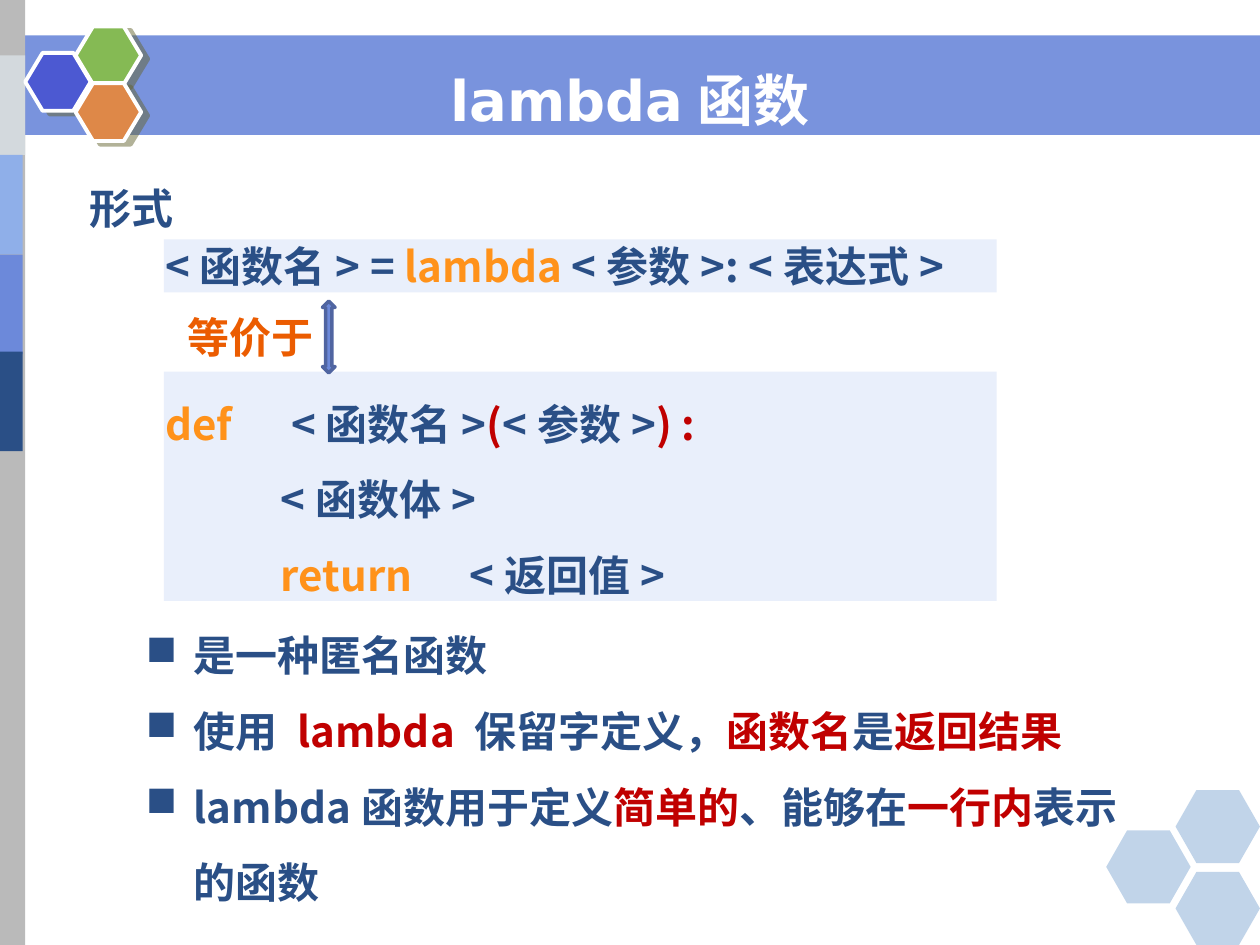
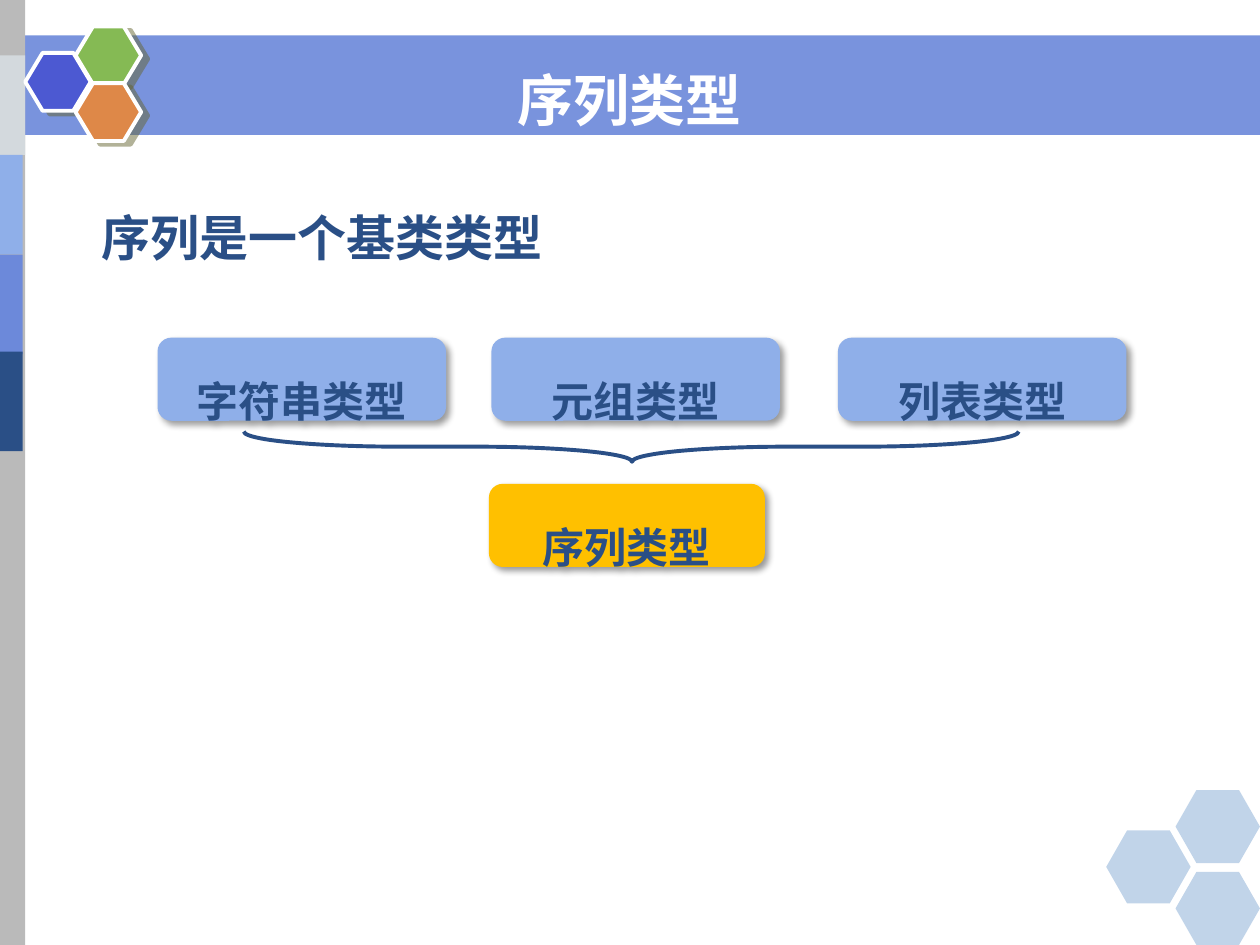
from lxml import etree
from pptx import Presentation
from pptx import util as u
from pptx.dml.color import RGBColor
from pptx.enum import shapes, text
from pptx.oxml.ns import qn

COLORS = {
    "navy": "2A4F86", "blue": "6C89DA", "sky": "8FAFE9", "pale": "E9EFFB",
    "grey": "BABABA", "silver": "D3D9DD", "white": "FFFFFF", "edge": "5065A1",
    "indigo": "4C59D2", "green": "85BA54", "copper": "DE8848", "mist": "5086C2",
    "red": "C00000", "orange": "FF921A", "rust": "EB5C01", "gold": "FFC000",
    "olive": "666633", "black": "000000",
}
BODY_FONT = "Noto Sans CJK SC"
TITLE_FONT = "DejaVu Sans"
CARD_SHADOW = ("black", 40, 4, 3, 45)
HEXAGON_SHADOW = ("olive", 50, 0, 4.5, 27)
KIND = shapes.MSO_SHAPE
CENTER = text.PP_ALIGN.CENTER
MIDDLE = text.MSO_ANCHOR.MIDDLE


def rgb(name):
    return RGBColor.from_string(COLORS[name])


def add_child(parent, tag, **attributes):
    child = etree.SubElement(parent, qn(tag))
    for key, value in attributes.items():
        child.set(key, str(value))
    return child


def add_alpha(color_element, percent):
    add_child(color_element, "a:alpha", val=percent * 1000)


def add_shadow(shape, color, percent, blur, distance, angle):
    effects = shape._element.spPr.find(qn("a:effectLst"))
    outer = add_child(effects, "a:outerShdw", blurRad=u.Pt(blur), dist=u.Pt(distance),
                      dir=angle * 60000, algn="tl", rotWithShape=0)
    add_alpha(add_child(outer, "a:srgbClr", val=COLORS[color]), percent)


def write(frame, paragraphs, size=24, font=BODY_FONT, color="navy", align=None,
          spacing=None, before=0, margin=0, hanging=0, bullet=None,
          insets=(0.1, 0.05, 0.1, 0.05), anchor=text.MSO_ANCHOR.TOP, grow=False):
    """Fill a frame; each paragraph is a dict of runs (text or (text, color)), margin and tab."""
    frame.word_wrap = True
    frame.vertical_anchor = anchor
    frame.auto_size = (text.MSO_AUTO_SIZE.SHAPE_TO_FIT_TEXT if grow
                       else text.MSO_AUTO_SIZE.NONE)
    (frame.margin_left, frame.margin_top,
     frame.margin_right, frame.margin_bottom) = map(u.Inches, insets)
    for index, content in enumerate(paragraphs):
        para = frame.add_paragraph() if index else frame.paragraphs[0]
        properties = para._p.get_or_add_pPr()
        properties.set("marL", str(u.Inches(content.get("margin", margin))))
        properties.set("indent", str(u.Inches(-hanging)))
        if bullet:
            add_child(properties, "a:buChar", char=bullet)
        if "tab" in content:
            tabs = add_child(properties, "a:tabLst")
            add_child(tabs, "a:tab", pos=u.Inches(content["tab"]), algn="l")
        para.alignment = align or text.PP_ALIGN.LEFT
        if spacing:
            para.line_spacing = spacing
        if index and before:
            para.space_before = u.Pt(before)
        for run in content["runs"]:
            words, run_color = (run, color) if isinstance(run, str) else run
            span = para.add_run()
            span.text = words
            span.font.size = u.Pt(size)
            span.font.bold = True
            span.font.name = font
            span.font.color.rgb = rgb(run_color)
            add_child(span._r.get_or_add_rPr(), "a:ea", typeface=BODY_FONT)


def line(*runs, **layout):
    return {"runs": runs, **layout}


class Painter:
    """Holds the deck and the slide being drawn."""

    def __init__(self):
        self.deck = Presentation()
        self.deck.slide_width = u.Inches(10)
        self.deck.slide_height = u.Inches(7.5)
        self.slide = None

    def shape(self, kind, place, fill=None, alpha=None, outline=None, weight=2.25,
              adjust=(), shadow=None):
        shape = self.slide.shapes.add_shape(kind, *map(u.Inches, place))
        shape.shadow.inherit = False
        for index, value in enumerate(adjust):
            shape.adjustments[index] = value
        if fill:
            shape.fill.solid()
            shape.fill.fore_color.rgb = rgb(fill)
            if alpha:
                add_alpha(shape._element.spPr.find(".//" + qn("a:srgbClr")), alpha)
        else:
            shape.fill.background()
        if outline:
            shape.line.color.rgb = rgb(outline)
            shape.line.width = u.Pt(weight)
        else:
            shape.line.fill.background()
        if shadow:
            add_shadow(shape, *shadow)
        return shape

    def label(self, place, *paragraphs, **style):
        box = self.slide.shapes.add_textbox(*map(u.Inches, place))
        write(box.text_frame, paragraphs, **style)

    def panel(self, place, *paragraphs, **style):
        panel = self.shape(KIND.RECTANGLE, place, "pale")
        write(panel.text_frame, paragraphs, grow=True, **style)

    def card(self, left, top, width, caption, fill):
        card = self.shape(KIND.ROUNDED_RECTANGLE, (left, top, width, 0.66), fill,
                          shadow=CARD_SHADOW)
        write(card.text_frame, [line(caption)], align=CENTER, spacing=1.5,
              insets=(0.1, 0.07, 0.1, 0))

    def new_slide(self, title):
        self.slide = self.deck.slides.add_slide(self.deck.slide_layouts[6])
        self.shape(KIND.RECTANGLE, (0, 0.28, 10, 0.79), "blue", alpha=91)
        self.shape(KIND.RECTANGLE, (0, 0, 0.2, 7.5), "grey")
        side_bars = [(0.44, 0.2, "silver"), (1.23, 0.18, "sky"),
                     (2.02, 0.18, "blue"), (2.79, 0.18, "navy")]
        for top, width, fill in side_bars:
            self.shape(KIND.RECTANGLE, (0, top, width, 0.79), fill)
        for left, top, fill in [(0.2, 0.42, "indigo"), (0.6, 0.21, "green"),
                                (0.6, 0.66, "copper")]:
            self.shape(KIND.HEXAGON, (left, top, 0.52, 0.46), fill, outline="white",
                       adjust=[0.3], shadow=HEXAGON_SHADOW)
        for left, top in [(8.78, 6.59), (9.33, 6.27), (9.33, 6.92)]:
            self.shape(KIND.HEXAGON, (left, top, 0.67, 0.58), "mist", alpha=35,
                       adjust=[0.286])
        self.label((0, 0.47, 10, 0.64), line(title), size=32, font=TITLE_FONT,
                   color="white", align=CENTER, anchor=MIDDLE)


def draw_lambda_slide(painter):
    painter.new_slide("lambda函数")
    painter.label(
        (1.06, 4.75, 8.03, 2.52),
        line("是一种匿名函数"),
        line("使用 ", ("lambda ", "red"), "保留字定义，", ("函数名", "red"), "是",
             ("返回结果", "red")),
        line("lambda函数用于定义", ("简单的", "red"), "、能够在", ("一行内", "red"),
             "表示的函数"),
        spacing=1.5, margin=0.38, hanging=0.38, bullet="■", grow=True)
    painter.panel(
        (1.3, 2.95, 6.61, 1.82),
        line(("def\t", "orange"), "<函数名>", ("(", "red"), "<参数>", (") :", "red"),
             margin=0.01, tab=0.93),
        line("<函数体>"),
        line(("return\t", "orange"), "<返回值>", tab=2.41),
        margin=0.93, before=14.4, insets=(0, 0.21, 0, 0))
    painter.panel(
        (1.3, 1.9, 6.61, 0.42),
        line("<函数名> = ", ("lambda ", "orange"), "<参数>: <表达式>"),
        margin=0.01, insets=(0, 0.01, 0, 0))
    painter.label((1.49, 2.3, 1.15, 0.58), line("等价于"), color="rust", spacing=1.4,
                  insets=(0, 0.01, 0, 0), grow=True)
    painter.label((0.32, 1.32, 1.45, 0.54), line("形式"), align=CENTER, spacing=1.2,
                  grow=True)
    painter.shape(KIND.UP_DOWN_ARROW, (2.56, 2.39, 0.1, 0.57), "blue", outline="edge",
                  weight=2, adjust=[0.258, 0.5])


def draw_sequence_slide(painter):
    painter.new_slide("序列类型")
    painter.label((0.71, 1.6, 6.66, 0.57), line("序列是一个基类类型"), size=28)
    for index, caption in enumerate(["字符串类型", "元组类型", "列表类型"]):
        painter.card(1.25 + 2.7 * index - (0.05 if index == 1 else 0), 2.68, 2.29,
                     caption, "sky")
    brace = painter.shape(KIND.LEFT_BRACE, (4.89, 0.47, 0.24, 6.15), outline="navy",
                          adjust=[5.174, 0.501])
    brace.rotation = 270
    painter.card(3.88, 3.84, 2.19, "序列类型", "gold")


def main():
    painter = Painter()
    draw_lambda_slide(painter)
    draw_sequence_slide(painter)
    painter.deck.save("out.pptx")


if __name__ == "__main__":
    main()
